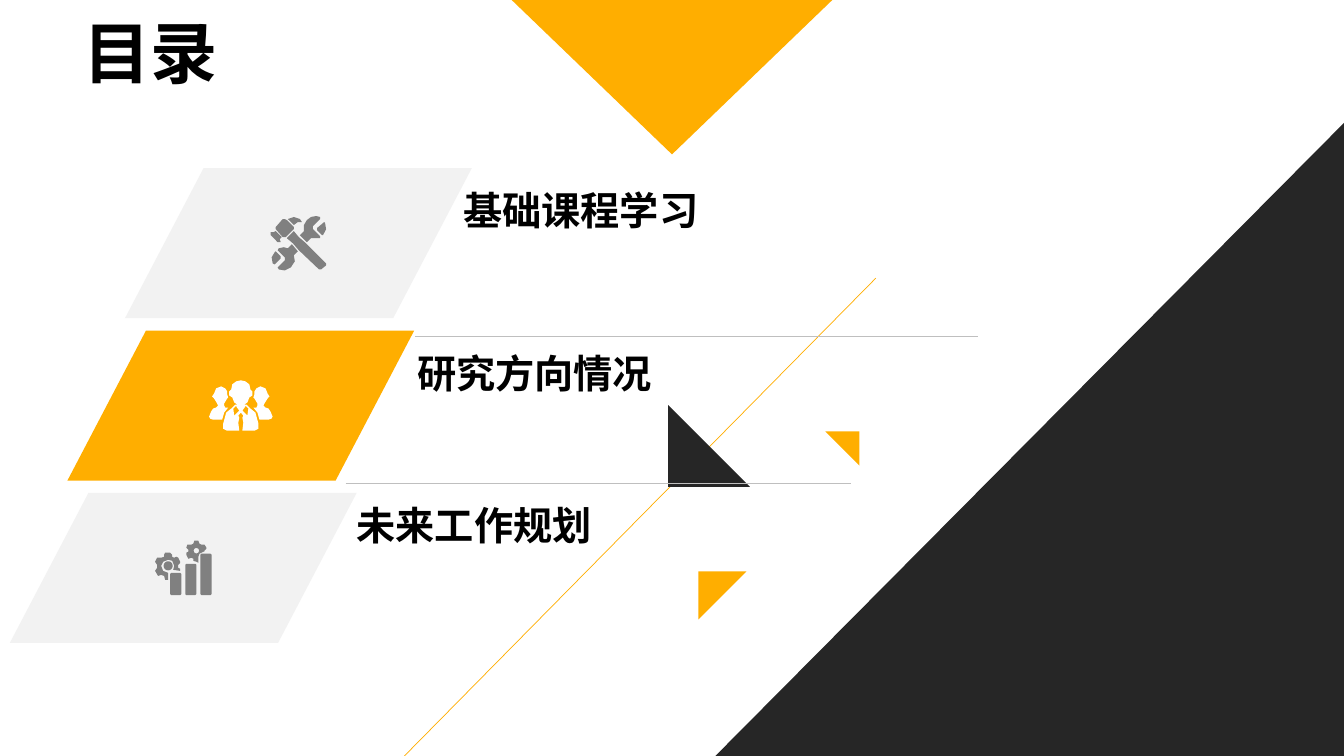
from math import cos, pi, sin

from lxml import etree
from pptx import Presentation
from pptx.dml.color import RGBColor
from pptx.enum.shapes import MSO_CONNECTOR, MSO_SHAPE
from pptx.enum.text import MSO_ANCHOR, PP_ALIGN
from pptx.oxml.ns import qn
from pptx.util import Cm, Pt

COLORS = {"amber": "FFAE00", "dark": "262626", "pale": "F2F2F2", "icon": "808080",
          "rule": "BFBFBF", "white": "FFFFFF", "text": "000000"}
FONT = "Arial"
ICON_UNIT = 0.0254  # cm per icon grid unit


def rgb(name):
    return RGBColor.from_string(COLORS[name])


def paint(sp, color):
    sp.shadow.inherit = False
    sp.fill.solid()
    sp.fill.fore_color.rgb = rgb(color)
    sp.line.fill.background()


def add_block(s, kind, box, color, rotation=0):
    sp = s.shapes.add_shape(kind, *map(Cm, box))
    sp.rotation = rotation
    paint(sp, color)
    return sp


def add_line(s, start, end, color, width):
    line = s.shapes.add_connector(MSO_CONNECTOR.STRAIGHT, *map(Cm, (*start, *end)))
    line.line.color.rgb = rgb(color)
    line.line.width = Pt(width)
    etree.SubElement(line._element.spPr, qn("a:effectLst"))


def style_text(sp, text, size):
    tf = sp.text_frame
    tf.word_wrap = True
    tf.vertical_anchor = MSO_ANCHOR.MIDDLE
    p = tf.paragraphs[0]
    p.text = text
    p.alignment = PP_ALIGN.LEFT
    p.font.name, p.font.size, p.font.bold = FONT, Pt(size), True
    p.font.color.rgb = rgb("text")
    return p


def mirror(points, width=63):
    return [(width - x, y) for x, y in reversed(points)]


def circle(cx, cy, r, n=16):
    return [(cx + r * cos(2 * pi * i / n), cy + r * sin(2 * pi * i / n)) for i in range(n)]


def bar(x, top, width=11, bottom=54, cut=1):
    right = x + width
    return [(x + cut, top), (right - cut, top), (right, top + cut), (right, bottom - cut),
            (right - cut, bottom), (x + cut, bottom), (x, bottom - cut), (x, top + cut)]


TOOLS = [
    [(6, 35), (11, 40), (11, 42), (5, 48), (3, 47), (2, 41), (5, 36)],
    [(22, 28), (28, 35), (24, 39), (25, 45), (21, 51), (15, 54), (9, 53), (8, 51),
     (15, 44), (15, 41), (8, 34), (9, 32), (14, 31), (18, 32)],
    [(24, 15), (29, 21), (36, 27), (56, 47), (56, 49), (51, 53), (49, 53), (29, 34),
     (23, 27), (17, 22)],
    [(6, 15), (12, 21), (10, 23), (11, 26), (8, 26), (1, 19), (1, 16), (4, 16)],
    [(54, 6), (55, 7), (56, 13), (53, 19), (52, 19), (47, 14), (47, 12), (53, 7)],
    [(15, 3), (17, 4), (24, 11), (24, 13), (16, 21), (13, 21), (6, 13), (6, 11), (13, 3)],
    [(24, 1), (30, 3), (32, 6), (28, 6), (24, 9), (18, 3)],
    [(46, 0), (50, 1), (50, 3), (43, 10), (43, 13), (50, 20), (50, 22), (41, 22),
     (37, 26), (30, 19), (34, 15), (34, 9), (37, 4), (41, 1)],
]
SIDE_PERSON = [
    (51, 6), (56, 8), (58, 13), (60, 16), (58, 18), (55, 23), (54, 25), (56, 27),
    (59, 28), (61, 31), (63, 36), (62, 38), (59, 39), (50, 39), (48, 32), (44, 27),
    (47, 27), (48, 25), (48, 23), (45, 18), (44, 17), (45, 14), (45, 11), (47, 8)]
FRONT_HALF = [
    (31.5, 0), (36, 1), (40, 4), (41, 9), (43, 11), (43, 15), (40, 17), (38, 22),
    (35, 24), (37, 24), (41, 28), (46, 32), (49, 43), (49, 48), (45, 50), (33, 50),
    (34, 42), (33, 37), (34, 35), (31.5, 32)]
COLLAR = [(36, 25), (36, 26), (33, 30), (38, 35), (39, 28), (37, 26)]
PEOPLE = [SIDE_PERSON, mirror(SIDE_PERSON), FRONT_HALF + mirror(FRONT_HALF),
          COLLAR, mirror(COLLAR)]
LARGE_GEAR = [
    (10, 12), (15, 12), (17, 14), (17, 16), (19, 17), (21, 16), (23, 17), (25, 21),
    (25, 22), (23, 24), (23, 27), (25, 28), (25, 30), (18, 29), (19, 25), (17, 20),
    (13, 19), (8, 21), (6, 25), (8, 30), (13, 32), (13, 39), (10, 39), (9, 35), (6, 34),
    (3, 35), (0, 30), (2, 27), (2, 24), (0, 21), (2, 17), (6, 17), (9, 16), (9, 14)]
SMALL_GEAR = [
    (39, 0), (43, 0), (44, 3), (46, 4), (49, 4), (51, 7), (51, 8), (49, 10), (49, 11),
    (48, 11), (44, 13), (43, 16), (43, 22), (41, 21), (38, 20), (38, 18), (36, 17),
    (33, 18), (31, 14), (31, 12), (33, 11), (33, 9), (31, 7), (32, 4), (36, 4), (38, 3)]
GROWTH = [bar(15, 32), bar(30, 23), bar(45, 13), LARGE_GEAR, circle(13, 25, 4.5),
          SMALL_GEAR, circle(41, 10, 2.7)]

ROW_SIZE = (8.74, 3.78)
FIRST_ROW = (3.15, 4.24)
ROW_STEP = (-1.45, 4.09)
# heading, icon, fill, icon colour, heading offset within the row
ROWS = [
    ("基础课程学习", TOOLS, "pale", "icon", (8.28, 0.56)),
    ("研究方向情况", PEOPLE, "amber", "white", (8.56, 0.56)),
    ("未来工作规划", GROWTH, "pale", "icon", (8.49, 0.31)),
]
DIVIDERS = [(10.46, 24.64, 8.48), (8.71, 21.44, 12.17)]  # left, right, y


def add_icon(s, contours, center, color):
    xs, ys = zip(*(point for contour in contours for point in contour))
    left = center[0] - (min(xs) + max(xs)) / 2 * ICON_UNIT
    top = center[1] - (min(ys) + max(ys)) / 2 * ICON_UNIT
    # Tenths of a grid unit keep the outlines precise
    fine = [[(round(x * 10), round(y * 10)) for x, y in contour] for contour in contours]
    builder = s.shapes.build_freeform(*fine[0][0], scale=Cm(ICON_UNIT) / 10)
    for i, contour in enumerate(fine):
        if i:
            builder.move_to(*contour[0])
        builder.add_line_segments(contour[1:], close=True)
    paint(builder.convert_to_shape(Cm(left), Cm(top)), color)


def add_row(s, box, heading, icon, fill, icon_color, offset):
    x, y, w, h = box
    sp = add_block(s, MSO_SHAPE.PARALLELOGRAM, box, fill)
    sp.adjustments[0] = 0.524
    add_icon(s, icon, (x + w / 2, y + h / 2), icon_color)
    tb = s.shapes.add_textbox(Cm(x + offset[0]), Cm(y + offset[1]), Cm(9.63), Cm(0.99))
    style_text(tb, heading, 28)


def add_backdrop(s, width, height):
    corner = add_block(s, MSO_SHAPE.RIGHT_TRIANGLE,
                       (width - 15.84, height - 15.95, 15.84, 15.95), "dark")
    corner._element.spPr.find(qn("a:xfrm")).set("flipH", "1")
    add_block(s, MSO_SHAPE.ISOSCELES_TRIANGLE, (width / 2 - 4.04, 0, 8.08, 3.89), "amber", 180)
    add_line(s, (10.19, height), (22.07, 7.01), "amber", 0.5)
    for x, y, side, color, rotation in [(17.6, 14.4, 1.21, "amber", 90),
                                        (16.84, 10.21, 2.06, "dark", 0),
                                        (20.8, 10.87, 0.86, "amber", 180)]:
        add_block(s, MSO_SHAPE.RIGHT_TRIANGLE, (x, y, side, side), color, rotation)


def add_title(s, box, text):
    title = s.shapes.title
    title.left, title.top, title.width, title.height = map(Cm, box)
    style_text(title, text, 48).line_spacing = 0.9


def add_contents_slide(prs, width, height):
    s = prs.slides.add_slide(prs.slide_layouts[5])
    add_backdrop(s, width, height)
    for i, row in enumerate(ROWS):
        x, y = (start + i * step for start, step in zip(FIRST_ROW, ROW_STEP))
        add_row(s, (x, y, *ROW_SIZE), *row)
    for left, right, y in DIVIDERS:
        add_line(s, (left, y), (right, y), "rule", 0.25)
    add_title(s, (1.85, 0, 30.15, 2.84), "目录")


def main():
    width, height = 33.87, 19.05
    prs = Presentation()
    prs.slide_width, prs.slide_height = Cm(width), Cm(height)
    add_contents_slide(prs, width, height)
    prs.save("out.pptx")


if __name__ == "__main__":
    main()
